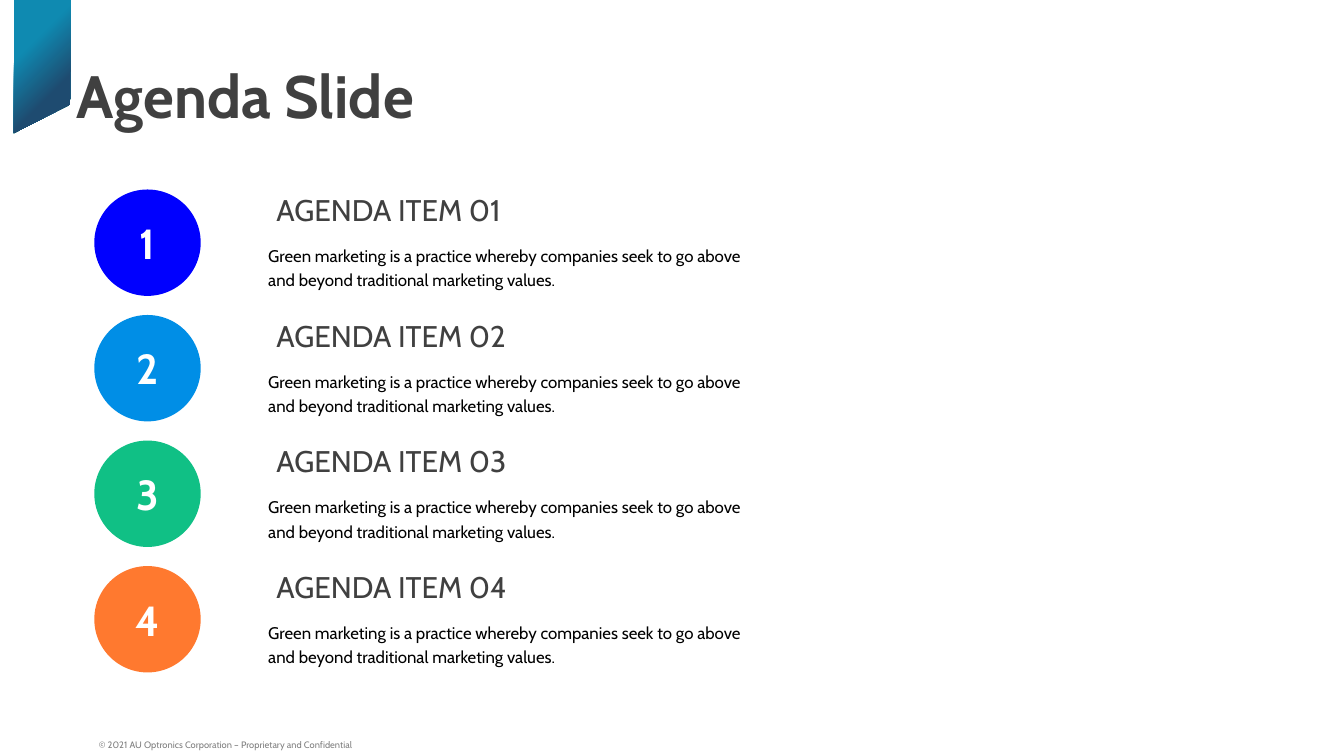
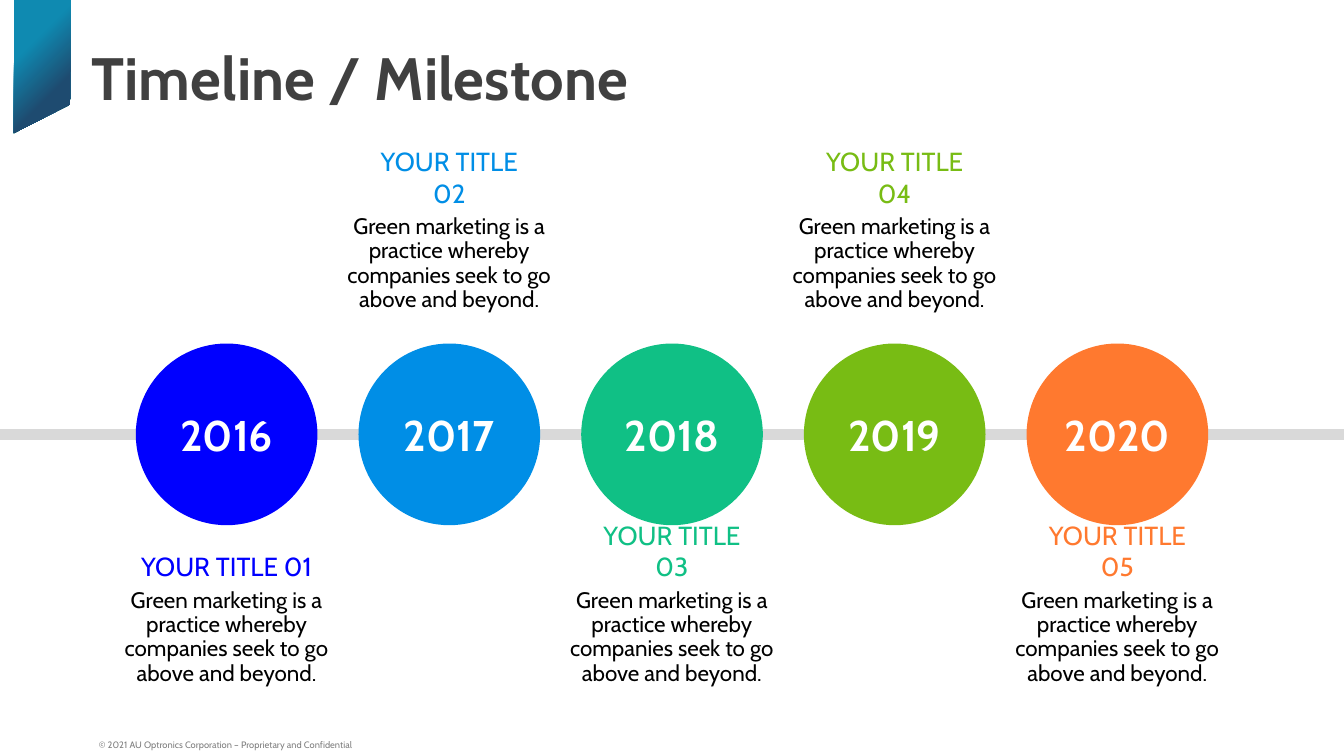
from lxml import etree
from pptx import Presentation
from pptx.dml.color import RGBColor
from pptx.enum import shapes, text
from pptx.oxml import ns
from pptx.util import Pt

BLUE, SKY, GREEN, LIME, ORANGE = "0000FF", "008EE6", "10C085", "78BC14", "FF792F"
DARK, GREY, RAIL, BLACK, WHITE = "404040", "808080", "D9D9D9", "000000", "FFFFFF"
LEFT, CENTER = text.PP_ALIGN.LEFT, text.PP_ALIGN.CENTER
TOP, MIDDLE, BOTTOM = (text.MSO_ANCHOR.TOP, text.MSO_ANCHOR.MIDDLE,
                       text.MSO_ANCHOR.BOTTOM)
WIDE_INSET, TIGHT_INSET = (7.2, 3.6), (2.7, 1.35)


def color(hex_code):
    return RGBColor.from_string(hex_code)


class Deck:
    """Holds the shared style and the page being drawn; lengths are in points."""

    font = "Cabin"
    width, height = 720, 405
    notice = "© 2021 AU Optronics Corporation – Proprietary and Confidential"

    def __init__(self):
        self.file = Presentation()
        self.file.slide_width = Pt(self.width)
        self.file.slide_height = Pt(self.height)
        self.page = None

    def add_page(self, title, left, top):
        self.page = self.file.slides.add_slide(self.file.slide_layouts[5])
        self.ribbon()
        self.label(self.notice, 47.5, 392.4, 270, 13, 5, GREY, anchor=BOTTOM,
                   inset=(5.4, 3.6), spacing=0.8)
        box = self.page.shapes.title
        box.left, box.top, box.width, box.height = map(Pt, (left, top, 587.5, 92))
        self.fill_text(box, title, 32, DARK, bold=True, inset=WIDE_INSET)

    def ribbon(self):
        outline = self.page.shapes.build_freeform(Pt(7.5), Pt(71.3))
        outline.add_line_segments(
            [(Pt(x), Pt(y)) for x, y in ((37.5, 56), (38, 0), (7.5, 0))])
        band = outline.convert_to_shape()
        band.shadow.inherit = False
        band.line.fill.background()
        band.fill.gradient()
        band.fill.gradient_angle = 315
        looks = ((0.32, "0F8AB1"), (0.7, "1E4B70"))
        for stop, (position, shade) in zip(band.fill.gradient_stops, looks):
            stop.position = position
            stop.color.rgb = color(shade)

    def fill_text(self, box, words, size, shade, bold=False, align=LEFT, anchor=TOP,
                  inset=TIGHT_INSET, spacing=None):
        frame = box.text_frame
        frame.word_wrap = True
        frame.auto_size = text.MSO_AUTO_SIZE.NONE
        frame.vertical_anchor = anchor
        frame.margin_left = frame.margin_right = Pt(inset[0])
        frame.margin_top = frame.margin_bottom = Pt(inset[1])
        frame.text = words
        para = frame.paragraphs[0]
        para.alignment = align
        para.line_spacing = spacing
        para.font.name = self.font
        para.font.size = Pt(size)
        para.font.bold = bold
        para.font.color.rgb = color(shade)

    def label(self, words, left, top, width, height, size, shade, **style):
        box = self.page.shapes.add_textbox(*map(Pt, (left, top, width, height)))
        self.fill_text(box, words, size, shade, **style)

    def circle(self, center_x, center_y, diameter, shade):
        disc = self.page.shapes.add_shape(
            shapes.MSO_SHAPE.OVAL, Pt(center_x - diameter / 2),
            Pt(center_y - diameter / 2), Pt(diameter), Pt(diameter))
        disc.shadow.inherit = False
        disc.fill.solid()
        disc.fill.fore_color.rgb = color(shade)
        disc.line.fill.background()

    def rail(self, y, weight):
        """Draw a horizontal line across the whole page."""
        line = self.page.shapes.add_connector(
            shapes.MSO_CONNECTOR.STRAIGHT, 0, Pt(y), Pt(self.width), Pt(y))
        line.line.color.rgb = color(RAIL)
        line.line.width = Pt(weight)
        etree.SubElement(line._element.spPr, ns.qn("a:effectLst"))


def agenda(deck):
    deck.add_page("Agenda Slide", 34, 28)
    summary = ("Green marketing is a practice whereby companies seek to go above "
               "and beyond traditional marketing values.")
    center_x, first_y, pitch = 79, 130, 67.25
    for index, shade in enumerate((BLUE, SKY, GREEN, ORANGE)):
        y = first_y + index * pitch
        deck.circle(center_x, y, 57, shade)
        deck.label(f"AGENDA ITEM {index + 1:02}", 141, y - 31, 139, 26.6, 16, DARK,
                   anchor=BOTTOM, inset=WIDE_INSET)
        deck.label(summary, 141, y - 2, 269.5, 28.6, 9, BLACK, spacing=Pt(13.1))
        deck.label(str(index + 1), center_x - 13, y - 17.5, 26, 35, 22.5, WHITE,
                   bold=True, align=CENTER, anchor=MIDDLE)


def timeline(deck):
    deck.add_page("Timeline / Milestone", 42, 18)
    summary = ("Green marketing is a practice whereby companies seek to go above "
               "and beyond.")
    rail_y, pitch, diameter = 232.7, 119.3, 97.3
    deck.rail(rail_y, 6)
    for index, shade in enumerate((BLUE, SKY, GREEN, LIME, ORANGE)):
        x = deck.width / 2 + (index - 2) * pitch
        caption_y = 113.5 if index % 2 else 313.7
        deck.circle(x, rail_y, diameter, shade)
        deck.label(str(2016 + index), x - diameter / 2, rail_y - 15, diameter, 30,
                   23, WHITE, bold=True, align=CENTER, anchor=MIDDLE)
        deck.label(summary, x - 63.3, caption_y, 126.6, 55.4, 12, BLACK,
                   align=CENTER, spacing=Pt(13.1))
        deck.label(f"YOUR TITLE {index + 1:02}", x - 49, caption_y - 19.8, 98, 19.4,
                   14, shade, align=CENTER, anchor=BOTTOM)


def main():
    deck = Deck()
    agenda(deck)
    timeline(deck)
    deck.file.save("out.pptx")


if __name__ == "__main__":
    main()
